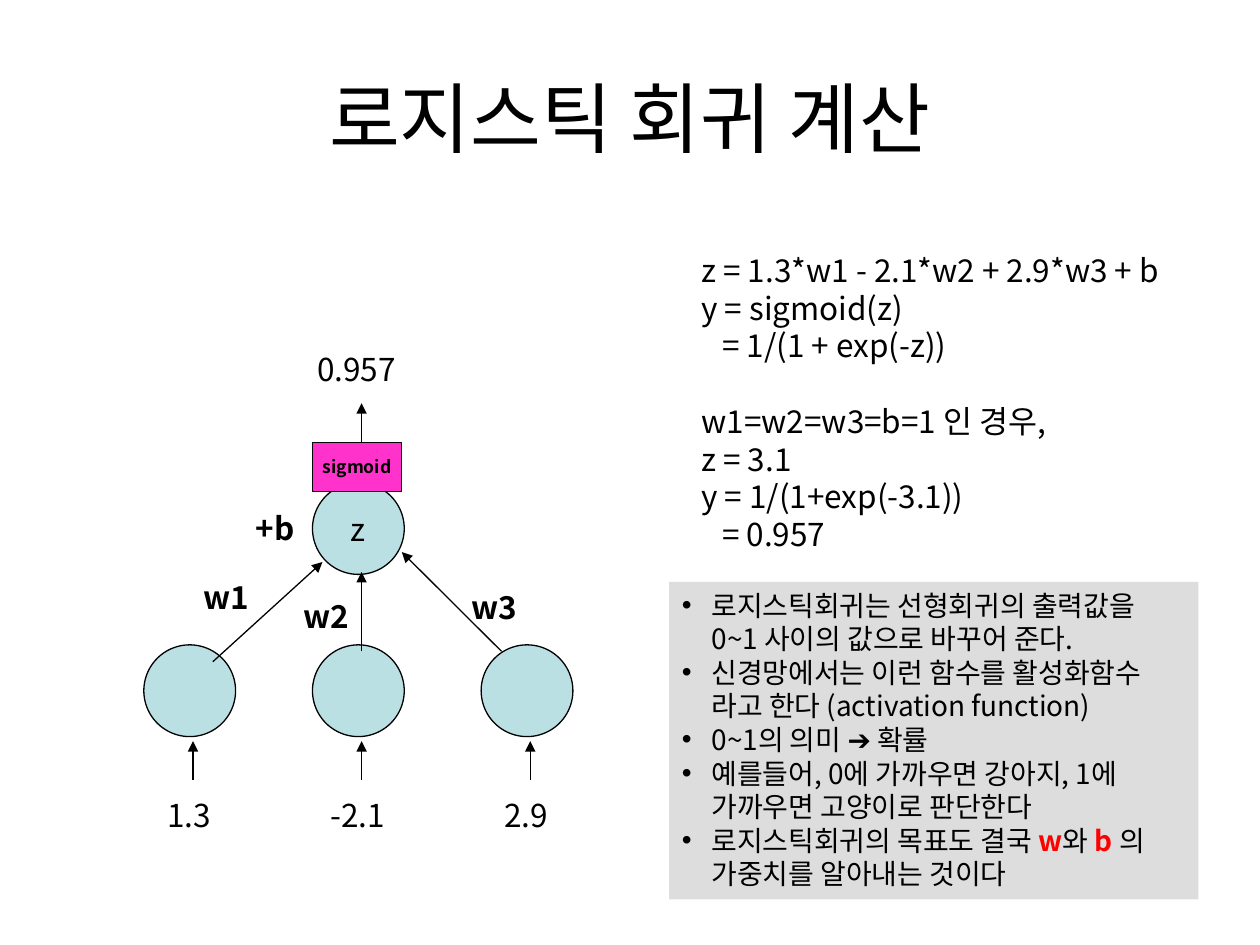
import pptx
import pptx.util
import pptx.dml.color
import pptx.enum.shapes
import pptx.enum.text
import pptx.oxml
import pptx.oxml.ns

Cm, Pt = pptx.util.Cm, pptx.util.Pt
RGB = pptx.dml.color.RGBColor
Shape = pptx.enum.shapes.MSO_SHAPE
Align = pptx.enum.text.PP_ALIGN
Anchor = pptx.enum.text.MSO_ANCHOR
Fit = pptx.enum.text.MSO_AUTO_SIZE
qn = pptx.oxml.ns.qn

BLACK = RGB(0x00, 0x00, 0x00)
EDGE = RGB(0x08, 0x08, 0x08)
BLUE = RGB(0xBB, 0xE0, 0xE3)
PINK = RGB(0xFF, 0x33, 0xCC)
GREY = RGB(0xDD, 0xDD, 0xDD)
RED = RGB(0xFF, 0x00, 0x00)
FONT = "Noto Sans CJK KR"


def style(par, size, bold=False, align=Align.LEFT):
    """Set the font of a whole paragraph, East Asian letters included."""
    par.alignment = align
    font = par.font
    font.name, font.size, font.bold = FONT, Pt(size), bold
    font.color.rgb = BLACK
    props = par._p.pPr.find(qn("a:defRPr"))
    east = pptx.oxml.parse_xml(
        f'<a:ea {pptx.oxml.ns.nsdecls("a")} typeface="{FONT}"/>')
    props.find(qn("a:latin")).addnext(east)


def indent(par, left, first=0):
    props = par._p.get_or_add_pPr()
    props.set("marL", str(Cm(left)))
    props.set("indent", str(Cm(first)))


def place(shape, box):
    shape.left, shape.top, shape.width, shape.height = map(Cm, box)


def node(slide, kind, box, fill, line=BLACK, text="", size=18, bold=False):
    shape = slide.shapes.add_shape(kind, *map(Cm, box))
    shape.shadow.inherit = False
    shape.fill.solid()
    shape.fill.fore_color.rgb = fill
    shape.line.color.rgb = line
    shape.line.width = Pt(0.75)
    if text:
        frame = shape.text_frame
        frame.word_wrap = False
        frame.vertical_anchor = Anchor.MIDDLE
        frame.text = text
        style(frame.paragraphs[0], size, bold, Align.CENTER)


def arrow(slide, x1, y1, x2, y2):
    link = slide.shapes.add_connector(
        pptx.enum.shapes.MSO_CONNECTOR.STRAIGHT, *map(Cm, (x1, y1, x2, y2)))
    link.line.color.rgb = BLACK
    link.line.width = Pt(0.75)
    line = link.line._get_or_add_ln()
    line.append(pptx.oxml.parse_xml(
        f'<a:tailEnd {pptx.oxml.ns.nsdecls("a")} type="triangle"/>'))
    line.addnext(pptx.oxml.parse_xml(
        f'<a:effectLst {pptx.oxml.ns.nsdecls("a")}/>'))


def label(slide, text, mid, top, bold=False):
    wide = 2.4
    area = slide.shapes.add_textbox(
        Cm(mid - wide / 2), Cm(top), Cm(wide), Cm(1.02))
    area.text_frame.word_wrap = True
    area.text_frame.text = text
    style(area.text_frame.paragraphs[0], 18, bold, Align.CENTER)


def heading(slide, box):
    title = slide.shapes.title
    place(title, box)
    frame = title.text_frame
    frame.text = "로지스틱 회귀 계산"
    frame.vertical_anchor = Anchor.MIDDLE
    style(frame.paragraphs[0], 44, align=Align.CENTER)


def network(slide, box):
    x, y = box[:2]
    step, size = 3.4, 1.85

    # Neurons: three inputs and the sum
    for i in range(3):
        node(slide, Shape.OVAL, (x + i * step, y + 6.07, size, size), BLUE)
    node(slide, Shape.OVAL, (x + step, y + 2.8, size, size), BLUE, text="z")

    # Weighted links and the output
    links = [(1.39, 6.41, 3.6, 4.4), (4.39, 6.2, 4.39, 4.6),
             (7.21, 6.2, 5.2, 4.2), (4.39, 2.19, 4.39, 1.2)]
    for x1, y1, x2, y2 in links:
        arrow(slide, x + x1, y + y1, x + x2, y + y2)

    # Input values
    for i, value in enumerate(["1.3", "-2.1", "2.9"]):
        left = x + i * step
        arrow(slide, left + 0.99, y + 8.79, left + 0.99, y + 8.01)
        label(slide, value, left + 0.91, y + 9)

    # Activation and output value
    node(slide, Shape.RECTANGLE, (x + step, y + 1.99, 1.8, 0.99),
         PINK, EDGE, "sigmoid", 10, True)
    label(slide, "0.957", x + 4.29, y)

    # Weights and bias
    names = [("w1", 1.67, 4.6), ("w2", 3.68, 4.98),
             ("w3", 7.06, 4.8), ("+b", 2.65, 3.2)]
    for name, mid, top in names:
        label(slide, name, x + mid, y + top, True)


def sums(slide, box):
    rows = ["z = 1.3*w1 - 2.1*w2 + 2.9*w3 + b", "y = sigmoid(z)",
            "= 1/(1 + exp(-z))", "w1=w2=w3=b=1 인 경우,", "z = 3.1",
            "y = 1/(1+exp(-3.1))", "= 0.957"]
    frame = slide.shapes.add_textbox(*map(Cm, box)).text_frame
    frame.word_wrap = True
    frame.text = "\n".join(rows)
    for par in frame.paragraphs:
        if par.text.startswith("="):
            indent(par, 0.42)
        if par.text.startswith("w1"):
            par.space_before = Pt(21.5)
        style(par, 18)


def notes(slide, box):
    items = [
        ["로지스틱회귀는 선형회귀의 출력값을 0~1 사이의 값으로 바꾸어 준다."],
        ["신경망에서는 이런 함수를 활성화함수 라고 한다 (activation function)"],
        ["0~1의 의미 ", "➔", " 확률"],
        ["예를들어, 0에 가까우면 강아지, 1에 가까우면 고양이로 판단한다"],
        ["로지스틱회귀의 목표도 결국 ", "w", "와 ", "b ",
         "의 가중치를 알아내는 것이다"],
    ]
    body = slide.placeholders[1]
    place(body, box)
    body.fill.solid()
    body.fill.fore_color.rgb = GREY
    frame = body.text_frame
    frame.auto_size = Fit.NONE
    frame.vertical_anchor = Anchor.TOP
    frame.margin_right = Cm(0.3)
    for i, parts in enumerate(items):
        par = frame.add_paragraph() if i else frame.paragraphs[0]
        indent(par, 0.6, -0.6)
        par.space_before = Pt(0)
        style(par, 16)
        for part in parts:
            run = par.add_run()
            run.text = part
            if part == "➔":
                run.font.name = "Arial"
            elif part.strip() in ("w", "b"):
                run.font.bold = True
                run.font.color.rgb = RED


def main():
    deck = pptx.Presentation()
    deck.slide_width, deck.slide_height = Cm(25.4), Cm(19.05)
    slide = deck.slides.add_slide(deck.slide_layouts[1])
    heading(slide, (1.27, 0.76, 22.86, 3.18))
    network(slide, (2.9, 6.93, 8.65, 10.02))
    sums(slide, (13.89, 4.93, 10.01, 7.11))
    notes(slide, (13.49, 11.73, 10.67, 6.4))
    deck.save("out.pptx")


if __name__ == "__main__":
    main()
